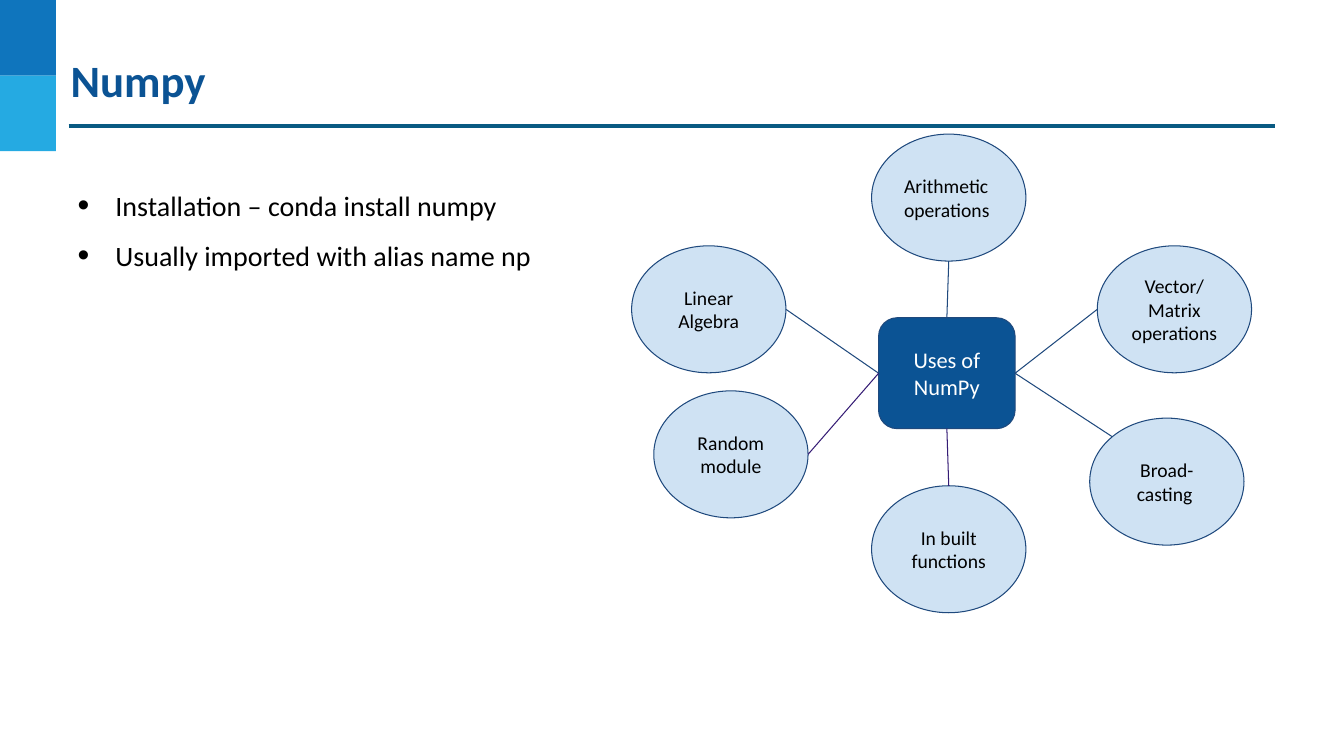
from dataclasses import dataclass

from lxml import etree
from pptx import Presentation
from pptx import util as u
from pptx.dml.color import RGBColor
from pptx.enum import shapes, text
from pptx.oxml import ns

FONT = "Calibri"
BLACK, WHITE = "000000", "FFFFFF"
DEEP_BLUE, PALE_BLUE = "0B5394", "CFE2F3"
NAVY, PURPLE = "1F497D", "351C75"
USE_WIDTH, USE_HEIGHT = 110.2, 90.7
DIAGONAL = 0.146  # where the 45° point of an ellipse falls in its box
TOP, LEFT, BOTTOM, RIGHT = range(4)


@dataclass
class Use:
    lines: list[str]
    left: float
    top: float
    anchor: tuple[float, float]  # line end, as fractions of the ellipse's box
    hub_side: int
    line_color: str = NAVY
    align: text.PP_ALIGN = text.PP_ALIGN.CENTER


USES = [
    Use(["Arithmetic operations"], 622.6, 95.8, (0.5, 1), TOP,
        align=text.PP_ALIGN.LEFT),
    Use(["Linear Algebra"], 451.2, 175.6, (1, 0.5), LEFT),
    Use(["In built functions"], 622.6, 347, (0.5, 0), BOTTOM, PURPLE),
    Use(["Vector/ Matrix operations"], 783.8, 175.6, (0, 0.5), RIGHT),
    Use(["Broad-", "casting "], 778.4, 298.7, (DIAGONAL, DIAGONAL), RIGHT),
    Use(["Random module"], 467, 279.2, (1, 0.5), LEFT, PURPLE),
]


def rgb(value: str) -> RGBColor:
    return RGBColor.from_string(value)


def write(frame, lines: list[str], size: float, color: str, inset: float = 7.2,
          align=text.PP_ALIGN.LEFT, bold: bool = False) -> None:
    frame.word_wrap = True
    frame.margin_left = frame.margin_right = u.Pt(inset)
    frame.margin_top = frame.margin_bottom = u.Pt(inset)
    for number, line in enumerate(lines):
        paragraph = frame.add_paragraph() if number else frame.paragraphs[0]
        paragraph.text = line
        paragraph.alignment = align
        paragraph.font.name = FONT
        paragraph.font.size = u.Pt(size)
        paragraph.font.bold = bold
        paragraph.font.color.rgb = rgb(color)


def add_bullet(paragraph) -> None:
    paragraph.line_spacing = 1.5
    properties = paragraph._p.get_or_add_pPr()
    properties.set("marL", str(u.Pt(35)))
    properties.set("indent", str(u.Pt(-27)))
    color = etree.SubElement(properties, ns.qn("a:buClr"))
    etree.SubElement(color, ns.qn("a:srgbClr"), val=BLACK)
    etree.SubElement(properties, ns.qn("a:buSzPct"), val="120000")
    etree.SubElement(properties, ns.qn("a:buFont"), typeface="Arial")
    etree.SubElement(properties, ns.qn("a:buChar"), char="•")


def add_box(slide, kind, left: float, top: float, width: float, height: float,
            fill: str, outline: str | None = None):
    box = slide.shapes.add_shape(
        kind, u.Pt(left), u.Pt(top), u.Pt(width), u.Pt(height))
    box.shadow.inherit = False
    box.fill.solid()
    box.fill.fore_color.rgb = rgb(fill)
    if outline:
        box.line.color.rgb = rgb(outline)
        box.line.width = u.Pt(0.75)
    else:
        box.line.fill.background()
    box.text_frame.vertical_anchor = text.MSO_ANCHOR.MIDDLE
    return box


def add_line(slide, start: tuple[float, float], end: tuple[float, float],
             color: str, width: float):
    line = slide.shapes.add_connector(
        shapes.MSO_CONNECTOR.STRAIGHT, *(u.Pt(value) for value in start + end))
    line.line.color.rgb = rgb(color)
    line.line.width = u.Pt(width)
    etree.SubElement(line.element.spPr, ns.qn("a:effectLst"))
    return line


def add_header(slide) -> None:
    for row, color in enumerate(["0F75BD", "25AAE2"]):
        add_box(slide, shapes.MSO_SHAPE.RECTANGLE, 0, 54 * row, 40, 54, color)
    add_line(slide, (49, 90), (911, 90), "095A82", 2.25)
    title = slide.shapes.add_textbox(u.Pt(49), u.Pt(36), u.Pt(862), u.Pt(39))
    write(title.text_frame, ["Numpy"], 32, DEEP_BLUE, inset=1.4, bold=True)


def add_notes_on_setup(slide) -> None:
    setup = slide.shapes.add_textbox(u.Pt(40.3), u.Pt(115.2), u.Pt(364), u.Pt(111))
    write(setup.text_frame, ["Installation – conda install numpy",
                             "Usually imported with alias name np"], 20, BLACK)
    for paragraph in setup.text_frame.paragraphs:
        add_bullet(paragraph)


def add_uses(slide) -> None:
    """Draw the hub, and each use around it joined to the hub by a line."""
    hub = add_box(slide, shapes.MSO_SHAPE.ROUNDED_RECTANGLE,
                  627.6, 227, 97.5, 79.2, DEEP_BLUE, NAVY)
    write(hub.text_frame, ["Uses of NumPy"], 16, WHITE,
          align=text.PP_ALIGN.CENTER)
    for use in USES:
        ellipse = add_box(slide, shapes.MSO_SHAPE.OVAL, use.left, use.top,
                          USE_WIDTH, USE_HEIGHT, PALE_BLUE, NAVY)
        write(ellipse.text_frame, use.lines, 14, BLACK, align=use.align)
        start = (use.left + use.anchor[0] * USE_WIDTH,
                 use.top + use.anchor[1] * USE_HEIGHT)
        spoke = add_line(slide, start, start, use.line_color, 0.75)
        spoke.end_connect(hub, use.hub_side)


def main() -> None:
    deck = Presentation()
    deck.slide_width, deck.slide_height = u.Pt(960), u.Pt(540)
    slide = deck.slides.add_slide(deck.slide_layouts[6])
    add_header(slide)
    add_notes_on_setup(slide)
    add_uses(slide)
    deck.save("out.pptx")


if __name__ == "__main__":
    main()
